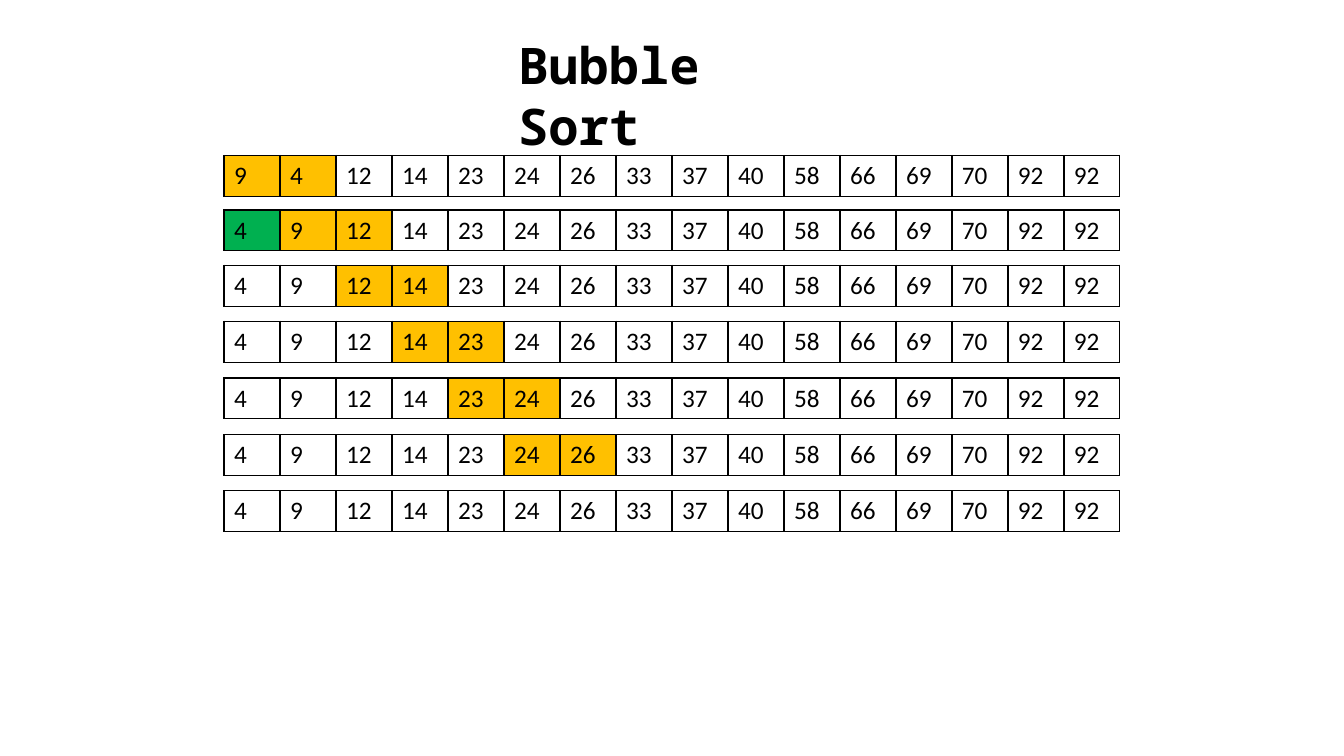
from lxml.etree import SubElement
from pptx import Presentation
from pptx.dml.color import RGBColor
from pptx.enum.text import MSO_AUTO_SIZE as AutoSize
from pptx.oxml.ns import qn
from pptx.util import Pt

BLACK = RGBColor(0x00, 0x00, 0x00)
WHITE = RGBColor(0xFF, 0xFF, 0xFF)
AMBER = RGBColor(0xFF, 0xC0, 0x00)
GREEN = RGBColor(0x00, 0xB0, 0x50)

TITLE_FONT = {"name": "Noto Sans Mono", "size": Pt(36), "bold": True}
NUMBER_FONT = {"name": "Calibri", "size": Pt(18), "bold": False}
START_NUMBERS = [9, 4, 12, 14, 23, 24, 26, 33, 37, 40, 58, 66, 69, 70, 92, 92]
STEP_TOPS = [111, 150, 189.5, 229.5, 270, 310.5, 350.5]


def write_text(text_frame, text, font_format):
    """Write one black run with the given font values."""
    run = text_frame.paragraphs[0].add_run()
    run.text = text
    for attribute, value in font_format.items():
        setattr(run.font, attribute, value)
    run.font.color.rgb = BLACK


def add_title(slide, left, top, width, height):
    """Add the heading in its box."""
    title = slide.shapes.add_textbox(Pt(left), Pt(top), Pt(width), Pt(height))
    title.text_frame.word_wrap = True
    title.text_frame.auto_size = AutoSize.SHAPE_TO_FIT_TEXT
    write_text(title.text_frame, "Bubble Sort", TITLE_FONT)


def add_borders(cell):
    """Draw a black one-point line on each side of the cell."""
    properties = cell._tc.get_or_add_tcPr()
    for side in ("a:lnL", "a:lnR", "a:lnT", "a:lnB"):
        line = SubElement(properties, qn(side), w=str(Pt(1)))
        fill = SubElement(line, qn("a:solidFill"))
        SubElement(fill, qn("a:srgbClr"), val=str(BLACK))


def add_array(slide, numbers, colours, left, top, width, height):
    """Add one array as a single-row table, with fills by index."""
    frame = slide.shapes.add_table(
        1, len(numbers), Pt(left), Pt(top), Pt(width), Pt(height))
    table = frame.table
    for attribute in ("first_row", "horz_banding"):
        setattr(table, attribute, False)
    for index, number in enumerate(numbers):
        table.columns[index].width = Pt(width / len(numbers))
        cell = table.cell(0, index)
        add_borders(cell)
        cell.fill.solid()
        cell.fill.fore_color.rgb = colours.get(index, WHITE)
        write_text(cell.text_frame, str(number), NUMBER_FONT)


def add_sort_steps(slide, left, width, height):
    """Show the array before each comparison, then the final array."""
    numbers = list(START_NUMBERS)
    last_step = len(STEP_TOPS) - 1
    for step, top in enumerate(STEP_TOPS):
        colours = {}
        if step < last_step:
            colours = {step: AMBER, step + 1: AMBER}
        if step == 1:
            colours[0] = GREEN
        add_array(slide, numbers, colours, left, top, width, height)
        numbers[step:step + 2] = sorted(numbers[step:step + 2])


def build():
    """Build the slide and save it."""
    presentation = Presentation()
    presentation.slide_width = Pt(960)
    presentation.slide_height = Pt(540)
    slide = presentation.slides.add_slide(presentation.slide_layouts[6])
    add_title(slide, 363, 21, 234, 51)
    add_sort_steps(slide, 160, 640, 29.2)
    presentation.save("out.pptx")


build()
